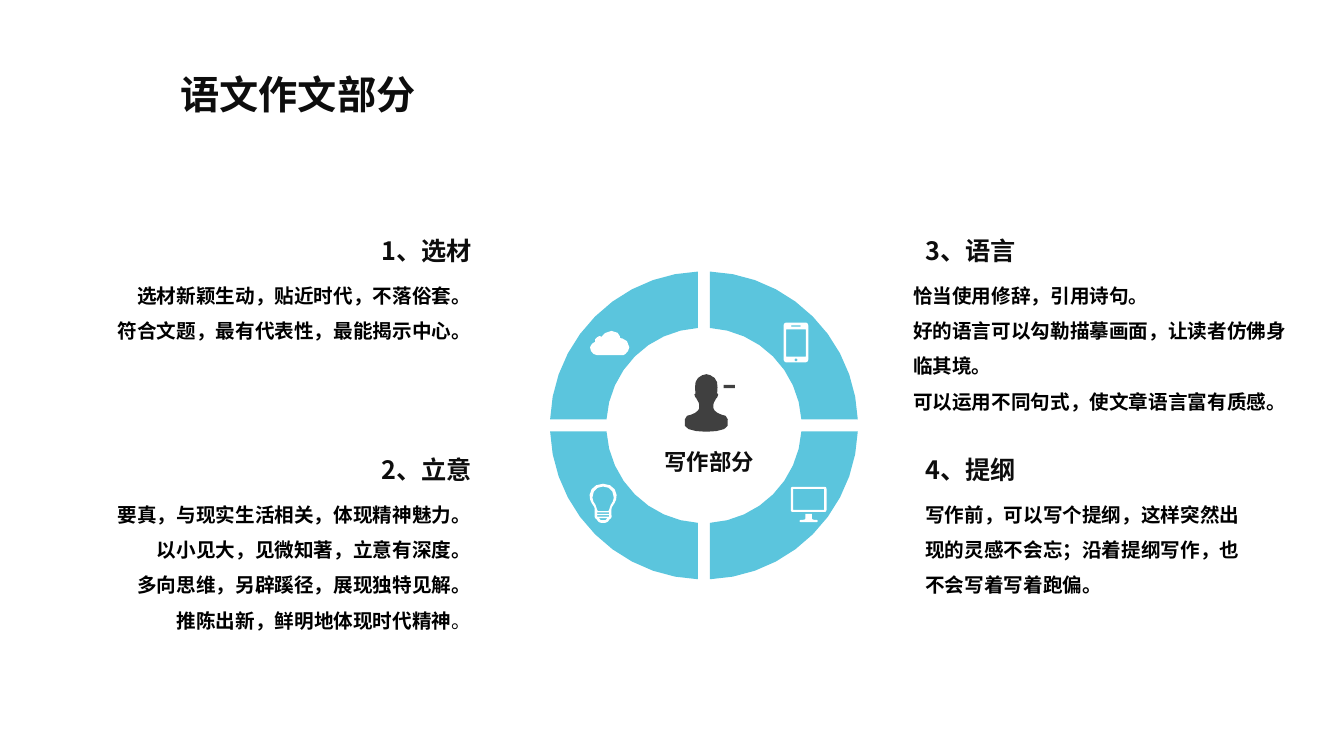
import math

import lxml.etree
import pptx
import pptx.dml.color
import pptx.enum.shapes
import pptx.enum.text
import pptx.oxml.ns
import pptx.util

Cm = pptx.util.Cm
ALIGN = pptx.enum.text.PP_ALIGN
LEFT, RIGHT, CENTER = ALIGN.LEFT, ALIGN.RIGHT, ALIGN.CENTER

COLORS = {"ring": "5BC5DD", "icon": "FFFFFF", "head": "404040",
          "title": "0D0D0D", "body": "000000"}

BULB = [
    [(0, 0), (0.2, 0, 0.33, 0.13, 0.34, 0.28), (0.35, 0.42, 0.28, 0.5, 0.24, 0.56),
     (0.21, 0.6, 0.21, 0.64, 0.21, 0.69), (0.21, 0.78),
     (0.23, 0.85, 0.2, 0.87, 0.16, 0.9), (0.13, 0.97, 0.08, 0.99, 0, 0.99)],
    [(0, 0.07), (0.15, 0.07, 0.27, 0.17, 0.27, 0.35),
     (0.27, 0.48, 0.17, 0.5, 0.15, 0.66), (0.13, 0.69), (0, 0.69)],
    [(0.15, 0.72), (0.15, 0.76)],
    [(0.15, 0.79), (0.15, 0.83)],
    [(0.11, 0.87), (0.06, 0.92)],
]
CLOUD = [
    [(0.13, 0.28), (0.13, 0.28, 0.03, 0.3, 0, 0.41), (0, 0.51, 0.08, 0.61, 0.18, 0.61),
     (0.84, 0.61), (0.87, 0.61, 0.99, 0.51, 0.99, 0.41), (0.99, 0.2, 0.76, 0.18, 0.76, 0.18),
     (0.76, 0.18, 0.76, 0, 0.54, 0), (0.33, 0.03, 0.3, 0.15, 0.3, 0.15),
     (0.3, 0.15, 0.23, 0.1, 0.18, 0.16), (0.1, 0.2, 0.13, 0.28, 0.13, 0.28)],
]
PHONE = [
    [(0.25, 0), (0.28, 0, 0.31, 0.03, 0.31, 0.07), (0.31, 0.93),
     (0.31, 0.97, 0.28, 1, 0.25, 1)],
    [(0.25, 0.17), (0.25, 0.86)],
    [(0.12, 0.07), (0.12, 0.1)],
    [(0, 0.9), (0.05, 0.9, 0.05, 0.98, 0, 0.98)],
]
SCREEN = [
    [(0.41, 0), (0.43, 0, 0.45, 0.02, 0.45, 0.05), (0.45, 0.58),
     (0.45, 0.61, 0.43, 0.63, 0.41, 0.63)],
    [(0.39, 0.05), (0.39, 0.58)],
]
STAND = [
    [(0.08, 0), (0.08, 0.1), (0.08, 0.14, 0.1, 0.15, 0.15, 0.15),
     (0.2, 0.15), (0.24, 0.15, 0.24, 0.21, 0.2, 0.21)],
]
HEAD = [
    [(0, 0), (0.08, 0, 0.25, 0.08, 0.27, 0.2), (0.3, 0.33, 0.27, 0.48, 0.27, 0.48),
     (0.3, 0.51), (0.29, 0.55, 0.28, 0.59, 0.25, 0.61),
     (0.23, 0.66, 0.18, 0.71, 0.18, 0.76), (0.18, 0.86),
     (0.18, 0.91, 0.28, 0.99, 0.38, 1.02), (0.51, 1.02, 0.57, 1.1, 0.54, 1.3),
     (0.51, 1.4, 0.28, 1.45, 0, 1.45)],
]


def trace(steps):
    points = [steps[0]]
    for step in steps[1:]:
        if len(step) == 2:
            points.append(step)
            continue
        knots = [points[-1], step[:2], step[2:4], step[4:]]
        for i in range(1, 4):
            t = i / 3
            parts = ((1 - t) ** 3, 3 * t * (1 - t) ** 2, 3 * t * t * (1 - t), t ** 3)
            points.append(tuple(sum(w * k[a] for w, k in zip(parts, knots))
                                for a in (0, 1)))
    return points


def mirror(points):
    return points + [(-x, y) for x, y in reversed(points) if x]


def sector(outer, inner, gap, right, down):
    def arc(radius, count):
        start = math.asin(gap / radius)
        sweep = math.pi / 2 - 2 * start
        angles = [start + sweep * i / count for i in range(count + 1)]
        return [(right * radius * math.cos(a), down * radius * math.sin(a))
                for a in angles]
    return arc(outer, 10) + arc(inner, 8)[::-1]


class Deck:
    font = "Noto Sans CJK SC"

    def __init__(self):
        self.file = pptx.Presentation()
        self.file.slide_width = Cm(33.87)
        self.file.slide_height = Cm(19.05)
        self.slide = self.file.slides.add_slide(self.file.slide_layouts[6])

    def color(self, name):
        return pptx.dml.color.RGBColor.from_string(COLORS[name])

    def paint(self, shape, color):
        shape.shadow.inherit = False
        shape.fill.solid()
        shape.fill.fore_color.rgb = self.color(color)
        shape.line.fill.background()

    def form(self, x, y, loops, color):
        pen = None
        for loop in loops:
            first, *rest = [(Cm(x + a), Cm(y + b)) for a, b in loop]
            if pen is None:
                pen = self.slide.shapes.build_freeform(*first)
            else:
                pen.move_to(*first)
            pen.add_line_segments(rest, close=True)
        self.paint(pen.convert_to_shape(), color)

    def icon(self, x, y, loops, color="icon", even=True):
        traced = [trace(loop) for loop in loops]
        self.form(x, y, [mirror(t) if even else t for t in traced], color)

    def bar(self, x, y, width, height, color):
        kind = pptx.enum.shapes.MSO_SHAPE.RECTANGLE
        shape = self.slide.shapes.add_shape(kind, Cm(x), Cm(y), Cm(width), Cm(height))
        self.paint(shape, color)

    def text(self, box, lines, size, color="title", align=LEFT, space=1.0, middle=False):
        frame = self.slide.shapes.add_textbox(*map(Cm, box)).text_frame
        frame.word_wrap = True
        frame.auto_size = pptx.enum.text.MSO_AUTO_SIZE.SHAPE_TO_FIT_TEXT
        if middle:
            frame.vertical_anchor = pptx.enum.text.MSO_ANCHOR.MIDDLE
        for i, line in enumerate(lines):
            para = frame.add_paragraph() if i else frame.paragraphs[0]
            para.alignment = align
            para.line_spacing = space
            runs = [(line, True)] if isinstance(line, str) else line
            for words, bold in runs:
                run = para.add_run()
                run.text = words
                run.font.size = pptx.util.Pt(size)
                run.font.bold = bold
                run.font.color.rgb = self.color(color)
                run.font.name = self.font
                east = lxml.etree.SubElement(run._r.get_or_add_rPr(),
                                             pptx.oxml.ns.qn("a:ea"))
                east.set("typeface", self.font)

    def panel(self, title, lines, top, head, left, width, height, align):
        self.text((head, top, 3.33, 1.02), [title], 18, align=align)
        self.text((left, top + 0.93, width, height), lines, 14, "body", align, 1.5)

    def save(self):
        self.file.save("out.pptx")


def main():
    deck = Deck()
    for right, down in ((1, -1), (-1, -1), (-1, 1), (1, 1)):
        deck.form(17.74, 10.72, [sector(3.88, 2.46, 0.15, right, down)], "ring")
    deck.icon(15.2, 12.19, BULB)
    deck.icon(14.87, 8.34, CLOUD, even=False)
    deck.icon(20.06, 8.13, PHONE)
    deck.icon(20.38, 12.27, SCREEN)
    deck.icon(20.38, 12.95, STAND)
    deck.icon(17.8, 9.43, HEAD, "head")
    deck.bar(18.24, 9.7, 0.28, 0.08, "head")
    deck.text((16.21, 11.17, 3.33, 0.94), ["写作部分"], 16, align=CENTER)

    upper, lower = 5.8, 11.32
    deck.panel("1、选材", ["选材新颖生动，贴近时代，不落俗套。",
                         "符合文题，最有代表性，最能揭示中心。"],
               upper, 8.81, 2.45, 9.68, 2.06, RIGHT)
    deck.panel("2、立意", ["要真，与现实生活相关，体现精神魅力。",
                         "以小见大，见微知著，立意有深度。",
                         "多向思维，另辟蹊径，展现独特见解。",
                         [("推陈出新，鲜明地体现时代精神", True), ("。", False)]],
               lower, 8.81, 2.45, 9.68, 4.75, RIGHT)
    deck.panel("3、语言", ["恰当使用修辞，引用诗句。",
                         "好的语言可以勾勒描摹画面，让读者仿佛身临其境。",
                         "可以运用不同句式，使文章语言富有质感。"],
               upper, 23.07, 22.76, 9.98, 3.84, LEFT)
    deck.panel("4、提纲", ["写作前，可以写个提纲，这样突然出现的灵感不会忘；"
                         "沿着提纲写作，也不会写着写着跑偏。"],
               lower, 23.07, 23.07, 8.86, 2.95, LEFT)
    deck.text((4.3, 1.65, 8.71, 1.45), ["语文作文部分"], 28, middle=True)
    deck.save()


if __name__ == "__main__":
    main()
